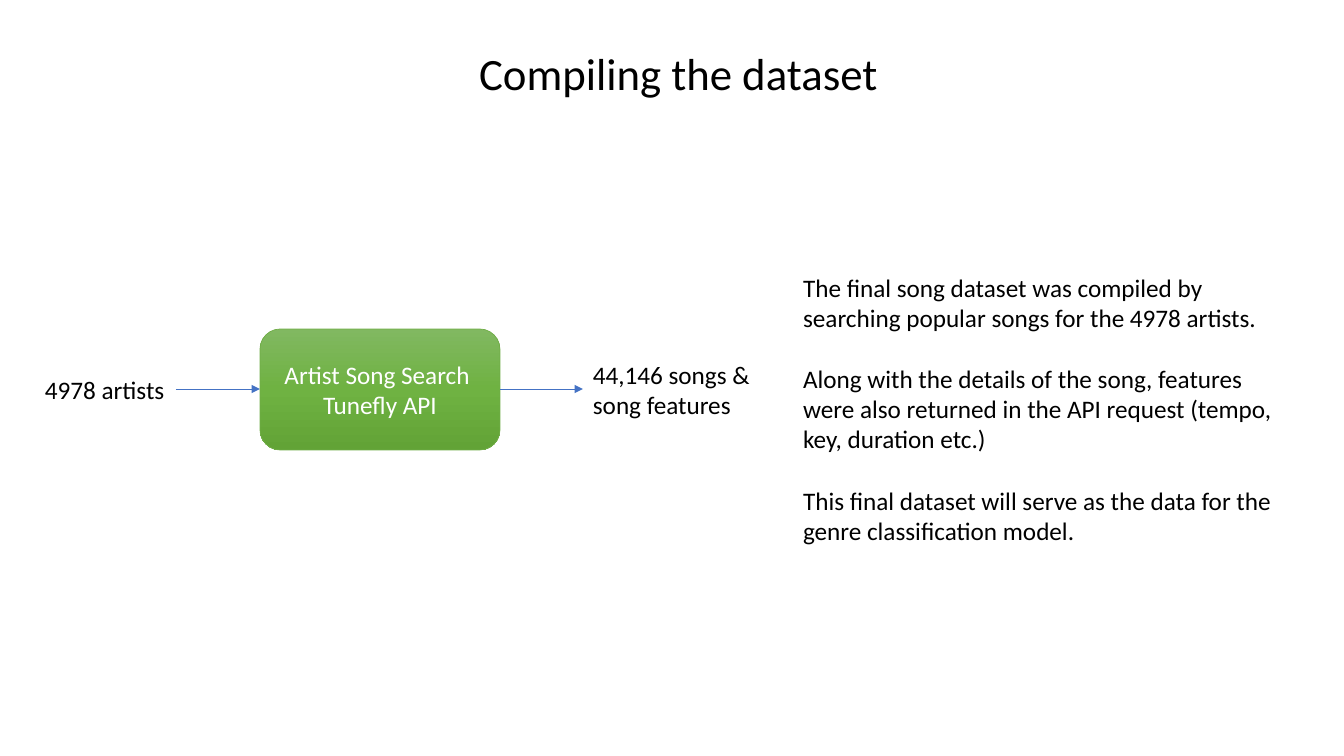
from dataclasses import dataclass

from lxml import etree
from pptx import Presentation
from pptx.dml.color import RGBColor
from pptx.enum.shapes import MSO_CONNECTOR, MSO_SHAPE
from pptx.enum.text import MSO_ANCHOR, MSO_AUTO_SIZE, PP_ALIGN
from pptx.oxml.ns import qn
from pptx.util import Emu, Pt

STRAIGHT = MSO_CONNECTOR.STRAIGHT
ROUNDED = MSO_SHAPE.ROUNDED_RECTANGLE
TOP, MIDDLE = MSO_ANCHOR.TOP, MSO_ANCHOR.MIDDLE
LEFT, CENTER = PP_ALIGN.LEFT, PP_ALIGN.CENTER
NO_FIT = MSO_AUTO_SIZE.NONE
TITLE_AND_CONTENT = 1
EMU_PER_PX = 914400 / 100.8


@dataclass(frozen=True)
class Theme:
    font: str = "Calibri"
    title_size: int = 32
    text_size: int = 18
    paragraph_gap: int = 22
    line_width: float = 0.5
    text: str = "000000"
    box_text: str = "FFFFFF"
    box_line: str = "70AD47"
    box_gradient: tuple = ((0, "81B861"), (50, "6FB242"), (100, "62A336"))
    arrow: str = "4472C4"


THEME = Theme()

EXPLANATION = (
    "The final song dataset was compiled by searching popular songs for the 4978 artists.",
    "Along with the details of the song, features were also returned in the API request "
    "(tempo, key, duration etc.)",
    "This final dataset will serve as the data for the genre classification model.",
)


def px(length):
    return Emu(round(length * EMU_PER_PX))


def place(shape, left, top, width, height):
    shape.left, shape.top = px(left), px(top)
    shape.width, shape.height = px(width), px(height)


def set_frame(shape, anchor, wrap=True):
    frame = shape.text_frame
    frame.auto_size = NO_FIT
    frame.word_wrap = wrap
    frame.vertical_anchor = anchor
    return frame


def add_run(paragraph, text, size=THEME.text_size, color=THEME.text):
    run = paragraph.add_run()
    run.text = text
    run.font.name = THEME.font
    run.font.size = Pt(size)
    run.font.color.rgb = RGBColor.from_string(color)


def fill_title(slide, text, *box):
    title = slide.shapes.title
    place(title, *box)
    paragraph = set_frame(title, TOP).paragraphs[0]
    paragraph.alignment = LEFT
    add_run(paragraph, text, THEME.title_size)


def fill_body(slide, texts, *box):
    body = slide.placeholders[1]
    place(body, *box)
    frame = set_frame(body, TOP)
    for index, text in enumerate(texts):
        paragraph = frame.add_paragraph() if index else frame.paragraphs[0]
        paragraph.space_before = Pt(0)
        paragraph.space_after = Pt(THEME.paragraph_gap)
        # Plain paragraphs: no bullet, no hanging indent
        properties = paragraph._p.get_or_add_pPr()
        properties.set("marL", "0")
        properties.set("indent", "0")
        etree.SubElement(properties, qn("a:buNone"))
        add_run(paragraph, text)


def add_label(slide, text, *box, wrap=True):
    label = slide.shapes.add_textbox(*map(px, box))
    add_run(set_frame(label, TOP, wrap).paragraphs[0], text)


def set_gradient(shape, stops):
    shape.fill.gradient()
    shape.fill.gradient_angle = 270  # counter-clockwise: runs downwards
    stop_list = shape._element.spPr.find(qn("a:gradFill")).find(qn("a:gsLst"))
    for stop in list(stop_list):
        stop_list.remove(stop)
    for percent, color in stops:
        stop = etree.SubElement(stop_list, qn("a:gs"), pos=str(percent * 1000))
        etree.SubElement(stop, qn("a:srgbClr"), val=color)


def add_process(slide, lines, *box):
    process = slide.shapes.add_shape(ROUNDED, *map(px, box))
    process.shadow.inherit = False
    set_gradient(process, THEME.box_gradient)
    process.line.color.rgb = RGBColor.from_string(THEME.box_line)
    process.line.width = Pt(THEME.line_width)
    paragraph = set_frame(process, MIDDLE).paragraphs[0]
    paragraph.alignment = CENTER
    for index, line in enumerate(lines):
        if index:
            paragraph.add_line_break()
        add_run(paragraph, line, color=THEME.box_text)


def add_arrow(slide, start, end, y):
    arrow = slide.shapes.add_connector(STRAIGHT, px(start), px(y), px(end), px(y))
    arrow.line.color.rgb = RGBColor.from_string(THEME.arrow)
    arrow.line.width = Pt(THEME.line_width)
    etree.SubElement(arrow.line._get_or_add_ln(), qn("a:tailEnd"), type="triangle")
    etree.SubElement(arrow._element.spPr, qn("a:effectLst"))


def main():
    presentation = Presentation()
    presentation.slide_width, presentation.slide_height = px(1344), px(756)
    layout = presentation.slide_layouts[TITLE_AND_CONTENT]
    slide = presentation.slides.add_slide(layout)

    # Title and explanation
    fill_title(slide, "Compiling the dataset", 469, 41, 430, 65)
    fill_body(slide, EXPLANATION, 793, 267, 516, 285)

    # Flow from artists to songs
    add_label(slide, "4978 artists", 35, 369, 141, 40, wrap=False)
    add_process(slide, ("Artist Song Search ", "Tunefly API"), 260, 329, 240, 121)
    add_label(slide, "44,146 songs & song features", 583, 354, 195, 71)
    for start, end in ((176, 260), (500, 583)):
        add_arrow(slide, start, end, 389)

    presentation.save("out.pptx")


if __name__ == "__main__":
    main()
